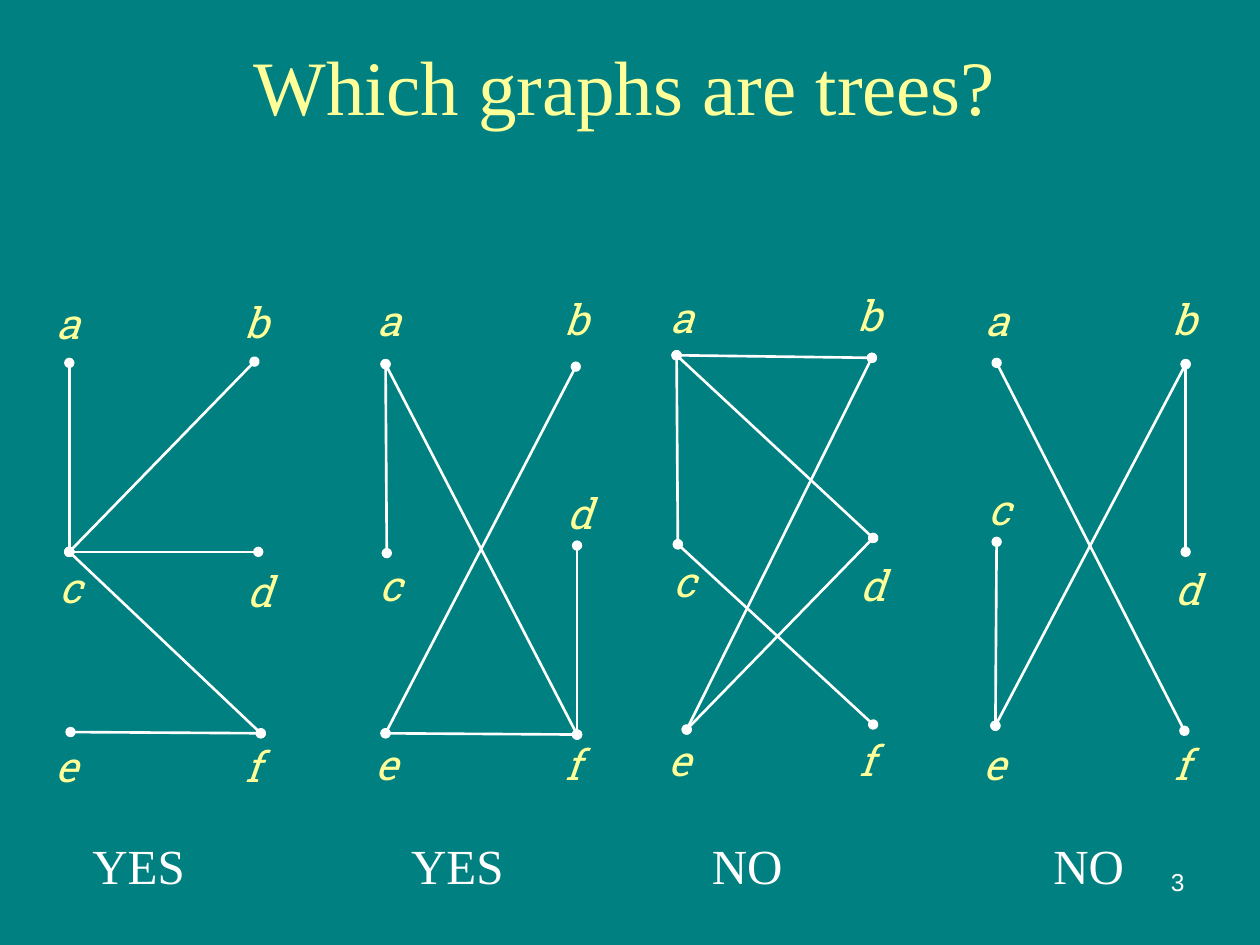
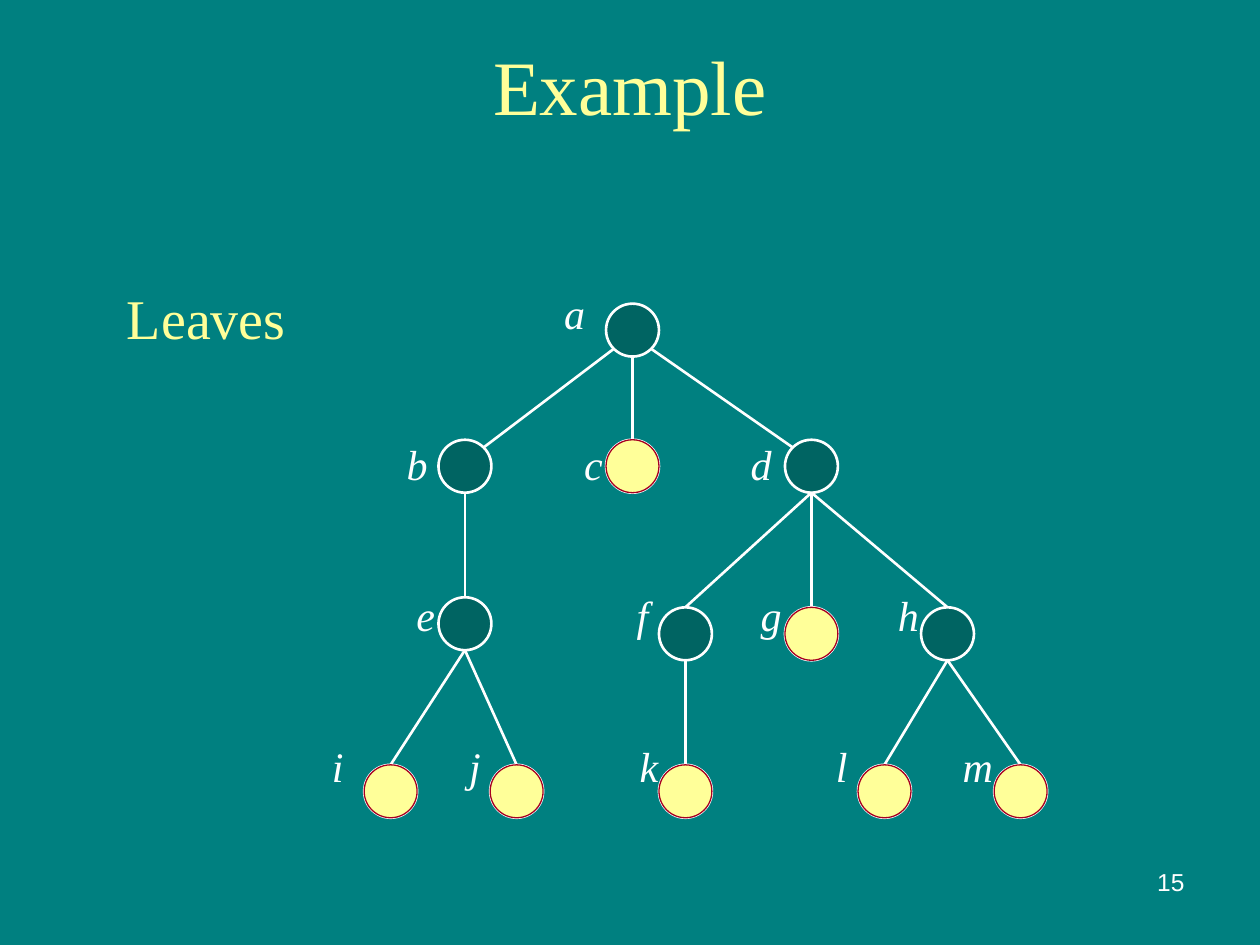
"""Build two slides about trees: spotting them among graphs, and their leaves."""
from dataclasses import dataclass
from typing import NamedTuple

from lxml import etree
from pptx import Presentation
from pptx import util as u
from pptx.dml.color import RGBColor
from pptx.enum import shapes, text
from pptx.oxml.ns import qn

COLORS = {"teal": "008080", "yellow": "FFFF99", "white": "FFFFFF",
          "node": "006462", "leaf_line": "A50021"}
SERIF, SLAB, SANS = "Times New Roman", "Roboto Slab", "Arial"
ALIGN, ANCHOR = text.PP_ALIGN, text.MSO_ANCHOR


class Box(NamedTuple):
    left: float
    top: float
    width: float
    height: float


class Point(NamedTuple):
    x: float
    y: float


class Style(NamedTuple):
    size: int
    font: str
    color: str
    italic: bool = False


@dataclass
class Graph:
    nodes: dict[str, Point]
    edges: str
    shift: Point
    answer: str
    answer_x: float
    raised: str = ""


@dataclass
class TreeNode:
    name: str
    left: float
    top: float
    label_x: float
    parent: str = ""


TITLE = Style(44, SERIF, "yellow")
HEADING = Style(32, SERIF, "yellow")
ANSWER = Style(28, SERIF, "white")
VERTEX_LABEL = Style(24, SLAB, "yellow", True)
TREE_LABEL = Style(24, SERIF, "white", True)
NUMBER = Style(14, SANS, "white")
NUMBER_BOX = Box(7.17, 6.83, 2.33, 0.52)

VERTEX_LABELS = {
    "a": Box(0.43, 2.36, 0.23, 0.4), "b": Box(1.86, 2.35, 0.34, 0.4),
    "c": Box(0.39, 4.46, 0.34, 0.4), "d": Box(1.89, 4.49, 0.34, 0.4),
    "e": Box(0.41, 5.88, 0.23, 0.4), "f": Box(1.84, 5.88, 0.34, 0.4),
}
RAISE = 0.6
GRAPHS = [
    Graph({"a": Point(0.55, 2.88), "b": Point(2.02, 2.87), "c": Point(0.55, 4.38),
           "d": Point(2.05, 4.38), "e": Point(0.56, 5.81), "f": Point(2.07, 5.82)},
          "cd cb ca cf fe", Point(0, 0), "YES", 1.1),
    Graph({"a": Point(3.06, 2.89), "b": Point(4.57, 2.91), "c": Point(3.07, 4.39),
           "d": Point(4.58, 4.33), "e": Point(3.06, 5.82), "f": Point(4.58, 5.83)},
          "eb ca fe fd af", Point(2.54, -0.02), "YES", 3.63, "d"),
    Graph({"a": Point(5.37, 2.82), "b": Point(6.92, 2.84), "c": Point(5.38, 4.32),
           "d": Point(6.93, 4.27), "e": Point(5.45, 5.79), "f": Point(6.93, 5.75)},
          "eb ca cf ad ed ab", Point(4.87, -0.05), "NO", 5.93),
    Graph({"a": Point(7.91, 2.88), "b": Point(9.41, 2.89), "c": Point(7.91, 4.3),
           "d": Point(9.41, 4.38), "e": Point(7.9, 5.76), "f": Point(9.4, 5.8)},
          "eb db af ce", Point(7.37, -0.02), "NO", 8.64, "c"),
]

DIAMETER = 0.42
LABEL_TOP, LABEL_STEP = 2.28, 1.2
LABEL_ROWS = ["a", "bcd", "efgh", "ijklm"]
TREE = [
    TreeNode("a", 4.81, 2.41, 4.56),
    TreeNode("b", 3.48, 3.49, 3.31, "a"),
    TreeNode("c", 4.81, 3.49, 4.71, "a"),
    TreeNode("d", 6.23, 3.49, 6.04, "a"),
    TreeNode("e", 3.48, 4.74, 3.38, "b"),
    TreeNode("f", 5.23, 4.82, 5.1, "d"),
    TreeNode("g", 6.23, 4.82, 6.12, "d"),
    TreeNode("h", 7.31, 4.82, 7.21, "d"),
    TreeNode("i", 2.89, 6.07, 2.68, "e"),
    TreeNode("j", 3.89, 6.07, 3.77, "e"),
    TreeNode("k", 5.23, 6.07, 5.15, "f"),
    TreeNode("l", 6.81, 6.07, 6.68, "h"),
    TreeNode("m", 7.89, 6.07, 7.76, "h"),
]


def rgb(name: str) -> RGBColor:
    """Return the named colour."""
    return RGBColor.from_string(COLORS[name])


def write(sp, words: str, style: Style, align=ALIGN.LEFT, anchor=ANCHOR.TOP) -> None:
    """Set and format the text of a shape."""
    tf = sp.text_frame
    tf.text = words
    tf.word_wrap = True
    tf.auto_size = text.MSO_AUTO_SIZE.NONE
    tf.vertical_anchor = anchor
    p = tf.paragraphs[0]
    p.alignment = align
    font = p.runs[0].font
    font.size, font.name, font.italic = u.Pt(style.size), style.font, style.italic
    font.color.rgb = rgb(style.color)


def add_text(s, box: Box, words: str, style: Style, align=ALIGN.LEFT,
             anchor=ANCHOR.TOP, inset: bool = True):
    """Add a text box, with the usual insets or none."""
    sp = s.shapes.add_textbox(*map(u.Inches, box))
    write(sp, words, style, align, anchor)
    if not inset:
        tf = sp.text_frame
        tf.margin_left = tf.margin_top = tf.margin_right = tf.margin_bottom = 0
    return sp


def add_line(s, start: Point, end: Point, dots: bool = False):
    """Add a white line, with a dot at each end if wanted."""
    cx = s.shapes.add_connector(shapes.MSO_CONNECTOR.STRAIGHT,
                                *map(u.Inches, (*start, *end)))
    cx.line.width = u.Pt(1.5)
    cx.line.color.rgb = rgb("white")
    if dots:
        for tag in ("a:headEnd", "a:tailEnd"):
            etree.SubElement(cx.line._get_or_add_ln(), qn(tag), type="oval")
    etree.SubElement(cx._element.spPr, qn("a:effectLst"))
    return cx


def add_circle(s, node: TreeNode, fill: str, line: str, width: float):
    """Add the circle of a tree node."""
    sp = s.shapes.add_shape(shapes.MSO_SHAPE.OVAL, *map(
        u.Inches, (node.left, node.top, DIAMETER, DIAMETER)))
    sp.shadow.inherit = False
    sp.fill.solid()
    sp.fill.fore_color.rgb = rgb(fill)
    sp.line.color.rgb = rgb(line)
    sp.line.width = u.Pt(width)
    return sp


def add_slide(prs, title: str, box: Box, anchor, number: int):
    """Add a slide with its title and number."""
    s = prs.slides.add_slide(prs.slide_layouts[5])
    sp = s.shapes.title
    sp.left, sp.top, sp.width, sp.height = map(u.Inches, box)
    write(sp, title, TITLE, ALIGN.CENTER, anchor)
    add_text(s, NUMBER_BOX, str(number), NUMBER, ALIGN.RIGHT)
    return s


def draw_graph(s, graph: Graph) -> None:
    """Draw the edges, vertex labels and answer of a graph."""
    for start, end in graph.edges.split():
        add_line(s, graph.nodes[start], graph.nodes[end], dots=True)
    for name, box in VERTEX_LABELS.items():
        top = box.top + graph.shift.y - (RAISE if name == graph.raised else 0)
        place = box._replace(left=box.left + graph.shift.x, top=top)
        add_text(s, place, name, VERTEX_LABEL, ALIGN.CENTER, ANCHOR.MIDDLE, False)
    add_text(s, Box(graph.answer_x - 0.6, 6.58, 1.2, 0.57), graph.answer, ANSWER,
             ALIGN.CENTER, ANCHOR.MIDDLE)


def draw_branch(s, parent: TreeNode, child: TreeNode, circle) -> None:
    """Join a tree node to its parent."""
    r = DIAMETER / 2
    start = Point(parent.left + r, parent.top + DIAMETER)
    end = Point(child.left + r, child.top)
    if not parent.parent and child.left != parent.left:
        side = 0.15 if child.left > parent.left else -0.15
        add_line(s, Point(start.x + side, start.y - 0.06),
                 Point(end.x - side, end.y + 0.06))
    else:
        add_line(s, start, end).end_connect(circle, 0)


def draw_tree(s) -> None:
    """Draw the tree and highlight its leaves."""
    nodes = {node.name: node for node in TREE}
    circles = {n.name: add_circle(s, n, "node", "white", 1.5) for n in TREE}
    for node in TREE[1:]:
        draw_branch(s, nodes[node.parent], node, circles[node.name])
    for i, row in enumerate(LABEL_ROWS):
        for name in row:
            box = Box(nodes[name].label_x - 0.2, LABEL_TOP + i * LABEL_STEP, 0.4, 0.4)
            add_text(s, box, name, TREE_LABEL, ALIGN.CENTER, ANCHOR.MIDDLE, False)
    parents = {node.parent for node in TREE}
    for node in TREE:
        if node.name not in parents:
            add_circle(s, node, "yellow", "leaf_line", 0.75)


def main() -> None:
    """Build and save the presentation."""
    prs = Presentation()
    prs.slide_width, prs.slide_height = u.Inches(10), u.Inches(7.5)
    fill = prs.slide_master.background.fill
    fill.solid()
    fill.fore_color.rgb = rgb("teal")

    s = add_slide(prs, "Which graphs are trees?", Box(0.25, 0.17, 9.42, 0.92),
                  ANCHOR.BOTTOM, 3)
    for graph in GRAPHS:
        draw_graph(s, graph)

    s = add_slide(prs, "Example", Box(0.5, 0.17, 9, 1), ANCHOR.MIDDLE, 15)
    heading = add_text(s, Box(0.91, 2.2, 1.46, 0.63), "Leaves", HEADING)
    heading.text_frame.word_wrap = False
    draw_tree(s)
    prs.save("out.pptx")


if __name__ == "__main__":
    main()
